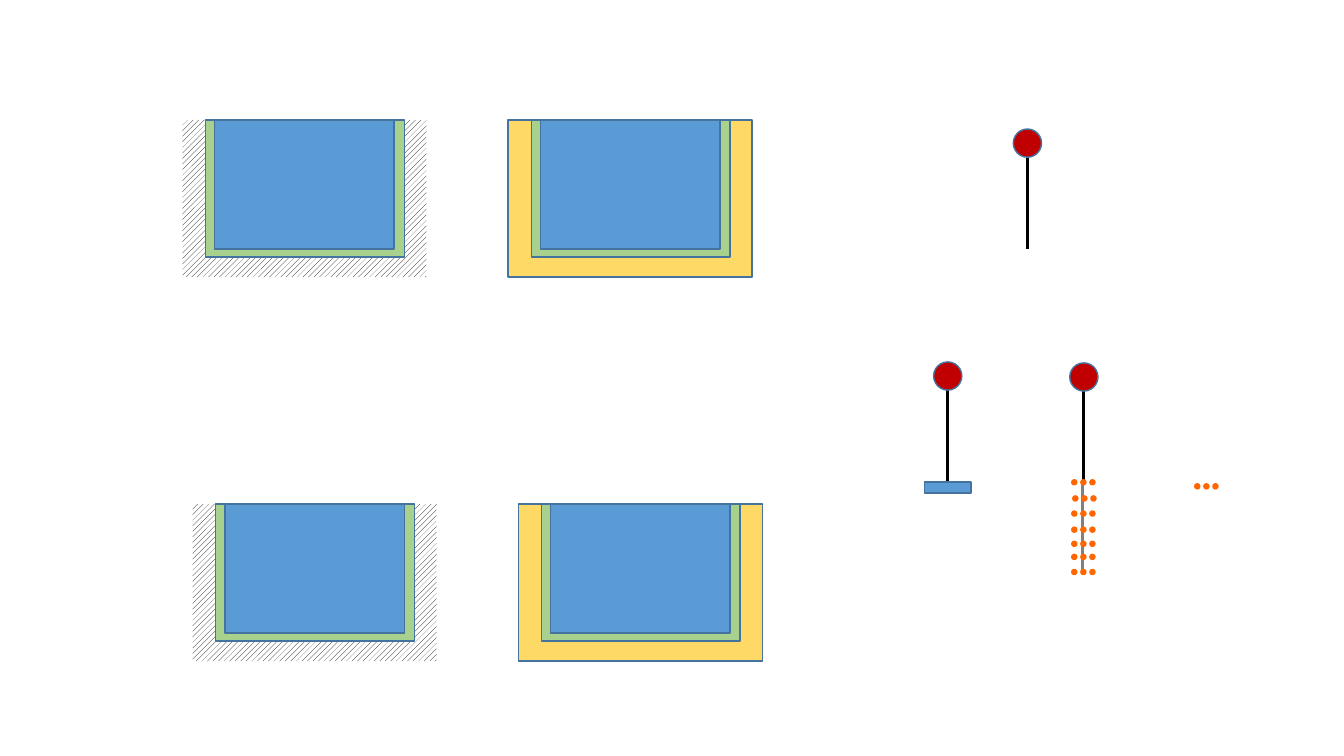
from lxml.etree import SubElement
from pptx import Presentation
from pptx.dml.color import RGBColor
from pptx.enum.dml import MSO_PATTERN
from pptx.enum.shapes import MSO_CONNECTOR, MSO_SHAPE
from pptx.oxml.ns import qn
from pptx.util import Pt

PX = 9144
COLORS = {
    "water": "5B9BD5",
    "lining": "A9D18E",
    "sand": "FFD966",
    "outline": "43739E",
    "head": "C00000",
    "dot": "FF6600",
    "post": "000000",
    "stake": "808080",
    "hatch": "000000",
    "paper": "FFFFFF",
}


def add_block(shapes, kind, box, fill, outline="outline"):
    shape = shapes.add_shape(kind, *(value * PX for value in box))
    shape.shadow.inherit = False
    if fill == "hatch":
        shape.fill.patterned()
        shape.fill.pattern = MSO_PATTERN.WIDE_UPWARD_DIAGONAL
        shape.fill.fore_color.rgb = RGBColor.from_string(COLORS["hatch"])
        shape.fill.back_color.rgb = RGBColor.from_string(COLORS["paper"])
        shape.line.fill.background()
    else:
        shape.fill.solid()
        shape.fill.fore_color.rgb = RGBColor.from_string(COLORS[fill])
        shape.line.color.rgb = RGBColor.from_string(COLORS[outline])
        shape.line.width = Pt(1)
    return shape


def add_post(shapes, x, top, color):
    connector = shapes.add_connector(
        MSO_CONNECTOR.STRAIGHT, x * PX, top * PX, x * PX, (top + 91) * PX
    )
    connector.line.color.rgb = RGBColor.from_string(COLORS[color])
    connector.line.width = Pt(2.25)
    SubElement(connector._element.spPr, qn("a:effectLst"))
    return connector


presentation = Presentation()
presentation.slide_width = 1333 * PX
presentation.slide_height = 750 * PX
slide = presentation.slides.add_slide(presentation.slide_layouts[6])

basins = [
    (181, 119, "hatch", False),
    (504, 119, "sand", False),
    (191, 500, "hatch", True),
    (514, 500, "sand", True),
]
for left, top, ground, grouped in basins:
    shapes = slide.shapes.add_group_shape().shapes if grouped else slide.shapes
    layers = [(0, 242, 156, ground), (23, 197, 136, "lining"), (32, 178, 128, "water")]
    for inset, width, height, fill in layers:
        add_block(shapes, MSO_SHAPE.RECTANGLE, (left + inset, top, width, height), fill)

pins = {"plate": (940, 359), "plain": (1019, 128), "stake": (1075, 360)}
pin_shapes = {}
posts = {}
for name, (x, top) in pins.items():
    pin_shapes[name] = slide.shapes.add_group_shape().shapes
    posts[name] = add_post(pin_shapes[name], x, top + 28, "post")
    add_block(pin_shapes[name], MSO_SHAPE.OVAL, (x - 14, top, 28, 28), "head")

plate = add_block(pin_shapes["plate"], MSO_SHAPE.RECTANGLE, (917, 478, 46, 11), "water")
posts["plate"].end_connect(plate, 0)

add_post(pin_shapes["stake"], 1074, 477, "stake")
loose_dots = slide.shapes.add_group_shape().shapes
dot_rows = [(loose_dots, 1185, 480), (pin_shapes["stake"], 1064, 492)]
dot_rows += [(pin_shapes["stake"], 1063, top) for top in (476, 507, 523, 537, 550, 565)]
for shapes, left, top in dot_rows:
    for column in range(3):
        add_block(shapes, MSO_SHAPE.OVAL, (left + 9 * column, top, 5, 5), "dot", "dot")

presentation.save("out.pptx")
